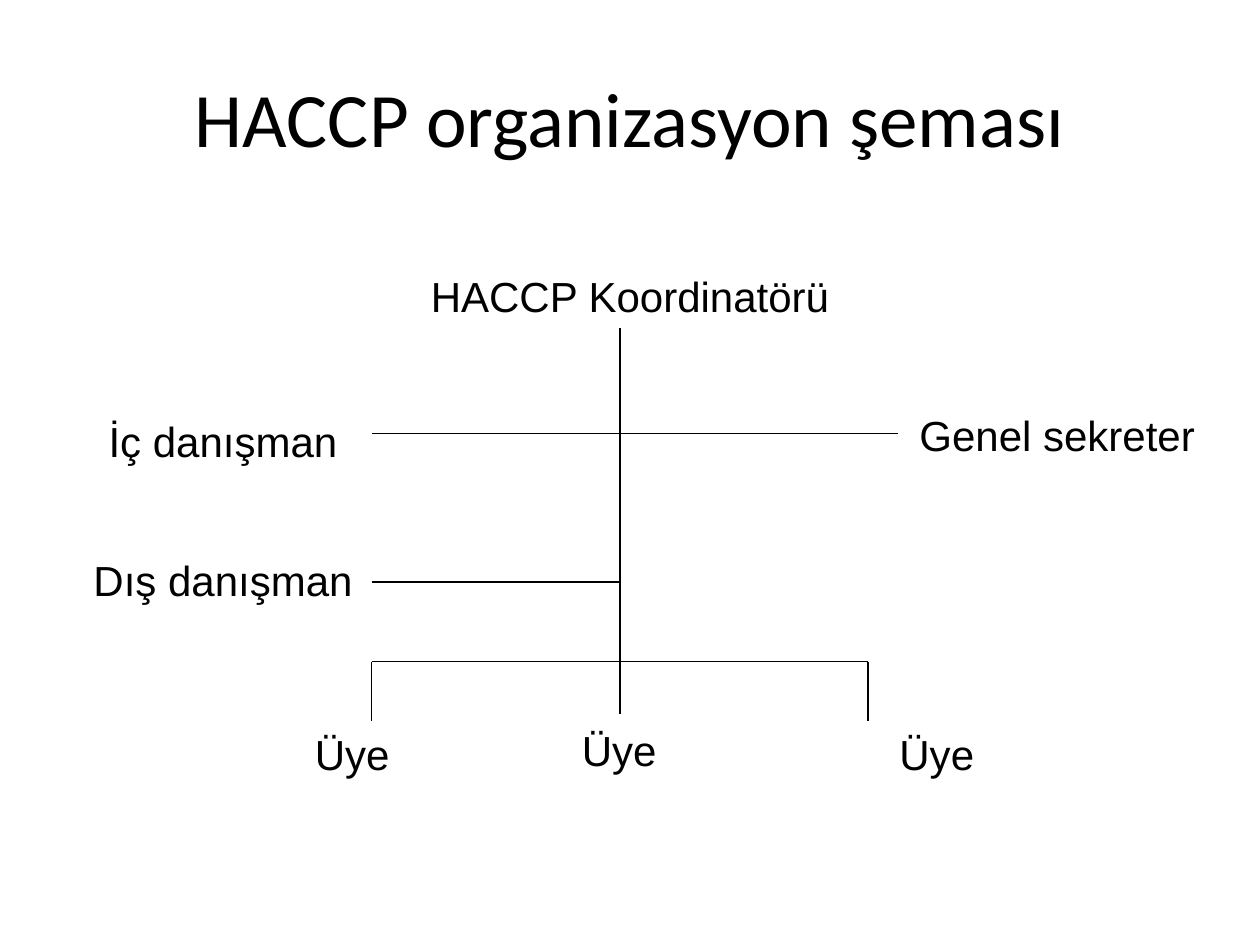
from lxml.etree import SubElement
from pptx import Presentation
from pptx.dml.color import RGBColor
from pptx.enum.shapes import MSO_CONNECTOR, MSO_SHAPE
from pptx.enum.text import MSO_ANCHOR, MSO_AUTO_SIZE, PP_ALIGN
from pptx.oxml.ns import qn
from pptx.util import Inches, Pt

BLACK = RGBColor(0, 0, 0)
WHITE = RGBColor(255, 255, 255)

BOX_HEIGHT = 0.5
TRUNK_X = 4.92
LEFT_X, RIGHT_X = 2.95, 6.89
MEMBER_BAR_Y = 5.25

# Role, left, top, width
ROLES = [
    ("HACCP Koordinatörü", 3.11, 2.1, 3.78),
    ("İç danışman", 0.59, 3.25, 2.36),
    ("Genel sekreter", 7.13, 3.2, 2.52),
    ("Dış danışman", 0.59, 4.35, 2.36),
    ("Üye", 2.01, 5.73, 1.57),
    ("Üye", 4.13, 5.7, 1.57),
    ("Üye", 6.65, 5.73, 1.57),
]


def format_paragraph(p, font_name, size):
    p.alignment = PP_ALIGN.CENTER
    p.font.name = font_name
    p.font.size = Pt(size)
    p.font.color.rgb = BLACK


def set_title(s, text):
    title = s.shapes.title
    title.left, title.top = Inches(0.5), Inches(0.3)
    title.width, title.height = Inches(9), Inches(1.25)
    tf = title.text_frame
    tf.text = text
    tf.vertical_anchor = MSO_ANCHOR.MIDDLE
    format_paragraph(tf.paragraphs[0], "Calibri", 44)


def add_role(s, text, left, top, width):
    sp = s.shapes.add_shape(MSO_SHAPE.RECTANGLE, Inches(left), Inches(top),
                            Inches(width), Inches(BOX_HEIGHT))
    sp.shadow.inherit = False
    sp.fill.solid()
    sp.fill.fore_color.rgb = WHITE
    sp.line.fill.background()
    tf = sp.text_frame
    tf.text = text
    tf.word_wrap = True
    tf.auto_size = MSO_AUTO_SIZE.SHAPE_TO_FIT_TEXT
    tf.vertical_anchor = MSO_ANCHOR.TOP
    format_paragraph(tf.paragraphs[0], "Arial", 24)


def add_line(s, x1, y1, x2, y2):
    line = s.shapes.add_connector(MSO_CONNECTOR.STRAIGHT, Inches(x1), Inches(y1),
                                  Inches(x2), Inches(y2))
    line.line.color.rgb = BLACK
    line.line.width = Pt(0.75)
    # An empty effect list turns the theme shadow off
    SubElement(line._element.spPr, qn("a:effectLst"))


def main():
    prs = Presentation()
    prs.slide_width, prs.slide_height = Inches(10), Inches(7.5)
    s = prs.slides.add_slide(prs.slide_layouts[5])
    set_title(s, "HACCP organizasyon şeması")

    for role in ROLES:
        add_role(s, *role)

    # Trunk and adviser branches
    add_line(s, TRUNK_X, 2.6, TRUNK_X, 5.67)
    add_line(s, LEFT_X, 3.44, 7.13, 3.44)
    add_line(s, LEFT_X, 4.62, TRUNK_X, 4.62)

    # Branches to the outer members
    for x in (LEFT_X, RIGHT_X):
        add_line(s, TRUNK_X, MEMBER_BAR_Y, x, MEMBER_BAR_Y)
        add_line(s, x, MEMBER_BAR_Y, x, 5.72)

    prs.save("out.pptx")


if __name__ == "__main__":
    main()
